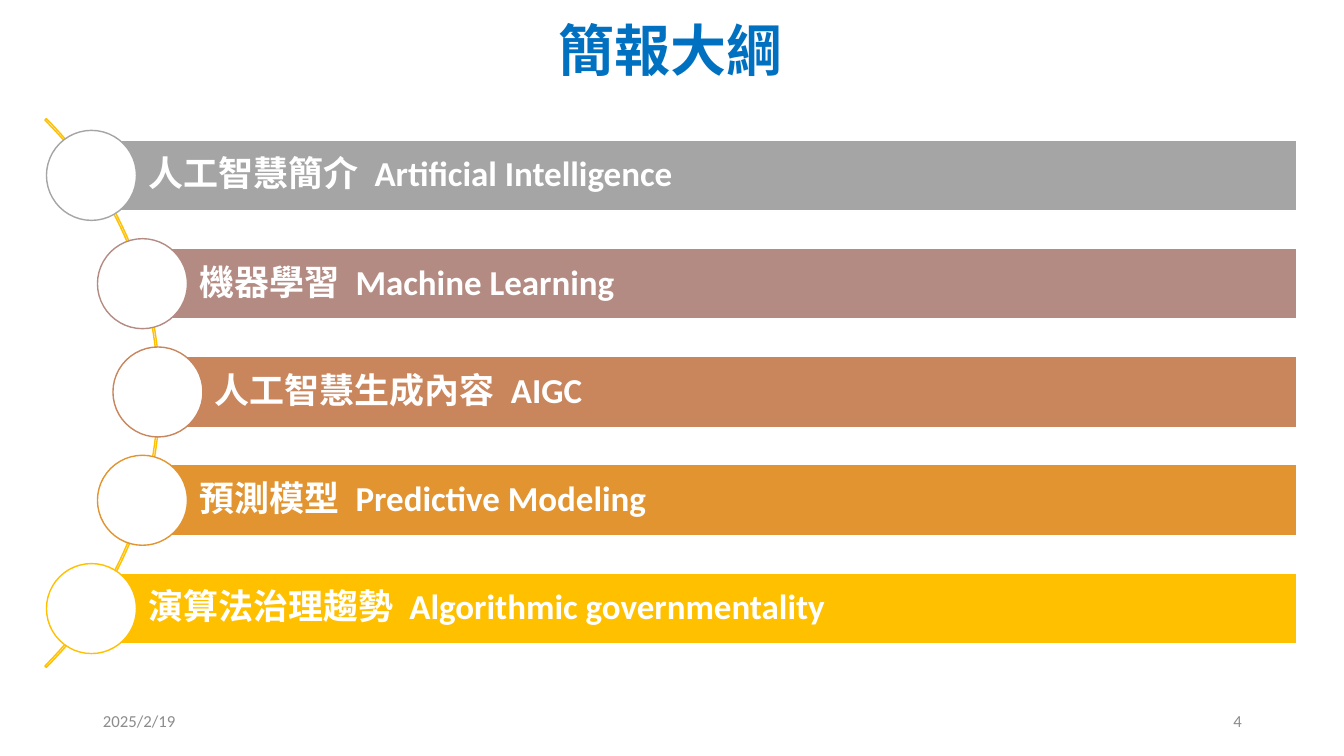
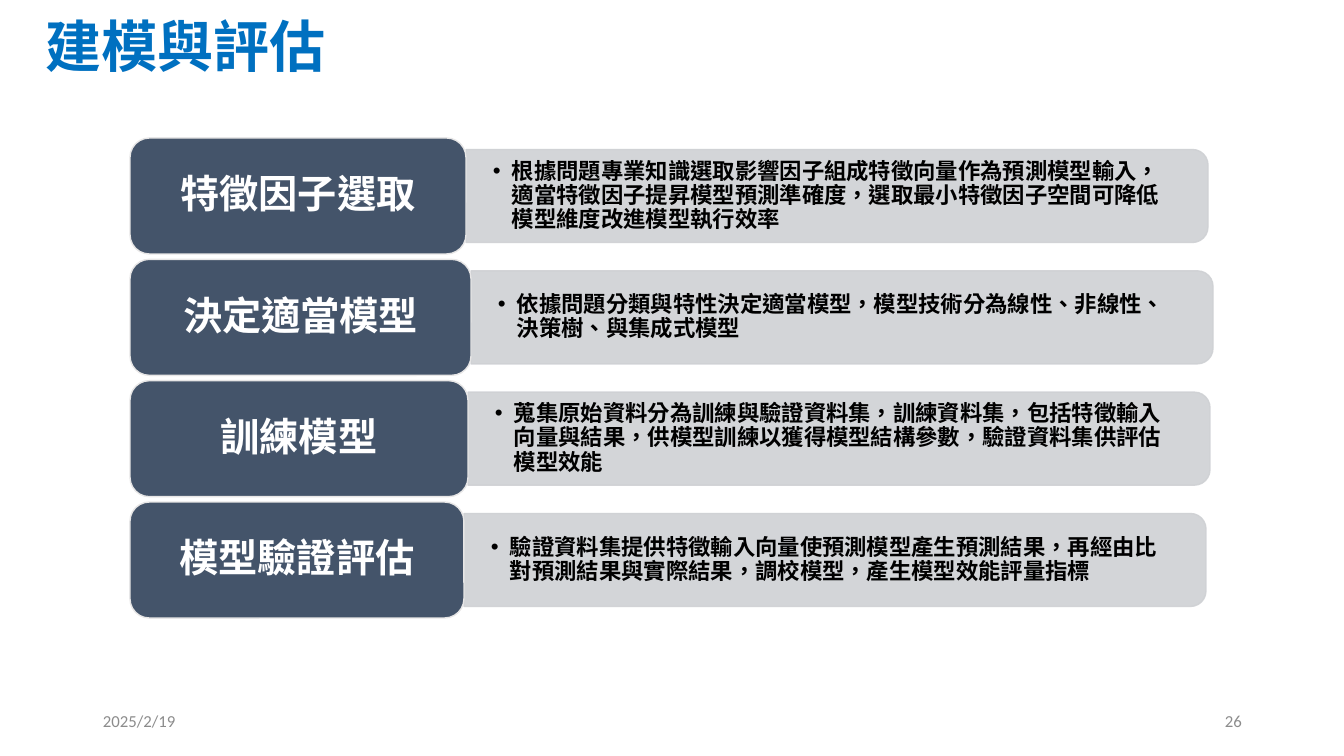
from math import cos, pi, sin, sqrt

from lxml.etree import SubElement
from pptx import Presentation
from pptx.dml.color import RGBColor
from pptx.enum.shapes import MSO_SHAPE as Kind
from pptx.enum.text import MSO_ANCHOR as Anchor, PP_ALIGN as Align
from pptx.oxml.ns import qn
from pptx.util import Pt

# Shared style
SCALE = 914400 / 100.8
WIDE, HIGH = 1344, 756
FONT = "Calibri"
BLUE, GREY, WHITE, BLACK = "0070C0", "8C8C8C", "FFFFFF", "000000"
SLATE, RIM, PALE, GOLD = "44546A", "E7E6E6", "CFD1D4", "FFC000"
DATE = "2025/2/19"


def px(n):
    return round(n * SCALE)


def tint(hue):
    return RGBColor.from_string(hue)


def fade(fill, part):
    """Set the opacity of a solid fill element, in percent."""
    color = fill.find(qn("a:solidFill"))[0]
    SubElement(color, qn("a:alpha")).set("val", str(part * 1000))


def draw(slide, kind, box, fill, line):
    shape = slide.shapes.add_shape(kind, *map(px, box))
    shape.shadow.inherit = False
    shape.fill.solid()
    shape.fill.fore_color.rgb = tint(fill)
    shape.line.color.rgb = tint(line)
    shape.line.width = Pt(1)
    return shape


def write(shape, runs, size, hue, bold=True, align=Align.LEFT,
          pad=(10, 5, 10, 5), lead=0.9, dot=0):
    """Fill one paragraph; each run is (text, extra letter spacing)."""
    frame = shape.text_frame
    frame.word_wrap = True
    frame.vertical_anchor = Anchor.MIDDLE
    (frame.margin_left, frame.margin_top,
     frame.margin_right, frame.margin_bottom) = map(px, pad)
    para = frame.paragraphs[0]
    para.alignment, para.line_spacing = align, lead
    if dot:
        props = para._p.get_or_add_pPr()
        props.set("marL", str(px(dot)))
        props.set("indent", str(-px(dot)))
        SubElement(props, qn("a:buFont")).set("typeface", "Arial")
        SubElement(props, qn("a:buChar")).set("char", "•")
    for text, gap in runs:
        run = para.add_run()
        run.text = text
        font = run.font
        font.name, font.size, font.bold = FONT, Pt(size), bold
        font.color.rgb = tint(hue)
        props = run._r.get_or_add_rPr()
        props.set("lang", "zh-TW")
        if gap:
            props.set("spc", str(gap))


def label(slide, box, text, size, hue, **style):
    write(slide.shapes.add_textbox(*map(px, box)), [(text, 0)],
          size, hue, **style)


def start(deck, title, top, align, page):
    """Add a slide with its title, date and page number."""
    slide = deck.slides.add_slide(deck.slide_layouts[6])
    label(slide, (36, top, 1269, 82), title, 40, BLUE, align=align)
    for left, text, side in ((93, DATE, Align.LEFT), (950, page, Align.RIGHT)):
        label(slide, (left, 701, 302, 40), text, 12, GREY,
              bold=False, align=side, lead=1)
    return slide


def arc(slide, mid, radius, thick):
    """Draw a thin quarter ring around the point mid."""
    turns = [pi / 4 * (n / 30 - 1) for n in range(61)]
    ring = [(px(mid[0] + r * cos(t)), px(mid[1] + r * sin(t)))
            for r, path in ((radius + thick, turns), (radius, turns[::-1]))
            for t in path]
    pen = slide.shapes.build_freeform(*ring[0], scale=1)
    pen.add_line_segments(ring[1:], close=True)
    shape = pen.convert_to_shape()
    shape.shadow.inherit = False
    shape.fill.background()
    shape.line.color.rgb = tint(GOLD)
    shape.line.width = Pt(1)


def outline(slide, box, items):
    """Stack bars whose round heads follow an arc."""
    left, top, width, height = box
    mid, radius = (left - 274, top + height / 2), 386
    bar, disc, step = 71, 90, 108.3
    arc(slide, mid, radius, 2)
    for n, (name, term, hue) in enumerate(items):
        drop = (n - (len(items) - 1) / 2) * step
        x, y = mid[0] + sqrt(radius ** 2 - drop ** 2), mid[1] + drop - 1
        strip = draw(slide, Kind.RECTANGLE,
                     (x, y - bar / 2, left + width - x, bar), hue, WHITE)
        write(strip, [(name, 0), (" ", 600), (term, 0)], 25, WHITE,
              pad=(57, 7, 7, 7))
        draw(slide, Kind.OVAL, (x - disc / 2, y - disc / 2, disc, disc),
             WHITE, hue)


def steps(slide, box, items):
    """Stack rows of a dark name and a pale note."""
    left, top, width, height = box
    tall, low, span = 116, 93, 742
    step = (height - tall) / (len(items) - 1)
    for n, (name, wide, note) in enumerate(items):
        y, edge = top + n * step, left + wide
        mid = y + tall / 2
        # Note: rounded on its right side only
        back = draw(slide, Kind.ROUND_2_SAME_RECTANGLE,
                    (edge + (span - low) / 2, mid - span / 2, low, span),
                    PALE, PALE)
        back.rotation = 90
        fade(back._element.spPr, 90)
        fade(back._element.spPr.find(qn("a:ln")), 90)
        label(slide, (edge, mid - 42, span - 4, 84), note, 16, BLACK,
              pad=(27, 14, 27, 14), dot=19)
        # Name
        card = draw(slide, Kind.ROUNDED_RECTANGLE, (left, y, wide, tall),
                    SLATE, RIM)
        write(card, [(name, 0)], 28, WHITE, align=Align.CENTER)


TOPICS = [
    ("人工智慧簡介", "Artificial Intelligence", "A5A5A5"),
    ("機器學習", "Machine Learning", "B48B83"),
    ("人工智慧生成內容", "AIGC", "C9855C"),
    ("預測模型", "Predictive Modeling", "E19430"),
    ("演算法治理趨勢", "Algorithmic governmentality", GOLD),
]
STAGES = [
    ("特徵因子選取", 336,
     "根據問題專業知識選取影響因子組成特徵向量作為預測模型輸入，"
     "適當特徵因子提昇模型預測準確度，選取最小特徵因子空間可降低"
     "模型維度改進模型執行效率"),
    ("決定適當模型", 341,
     "依據問題分類與特性決定適當模型，模型技術分為線性、非線性、"
     "決策樹、與集成式模型"),
    ("訓練模型", 338,
     "蒐集原始資料分為訓練與驗證資料集，訓練資料集，包括特徵輸入"
     "向量與結果，供模型訓練以獲得模型結構參數，驗證資料集供評估"
     "模型效能"),
    ("模型驗證評估", 334,
     "驗證資料集提供特徵輸入向量使預測模型產生預測結果，再經由比"
     "對預測結果與實際結果，調校模型，產生模型效能評量指標"),
]


def main():
    deck = Presentation()
    deck.slide_width, deck.slide_height = px(WIDE), px(HIGH)
    slide = start(deck, "簡報大綱", 12, Align.CENTER, "4")
    outline(slide, (46, 118, 1251, 550), TOPICS)
    slide = start(deck, "建模與評估", 8, Align.LEFT, "26")
    steps(slide, (130, 138, 1084, 480), STAGES)
    deck.save("out.pptx")


if __name__ == "__main__":
    main()
